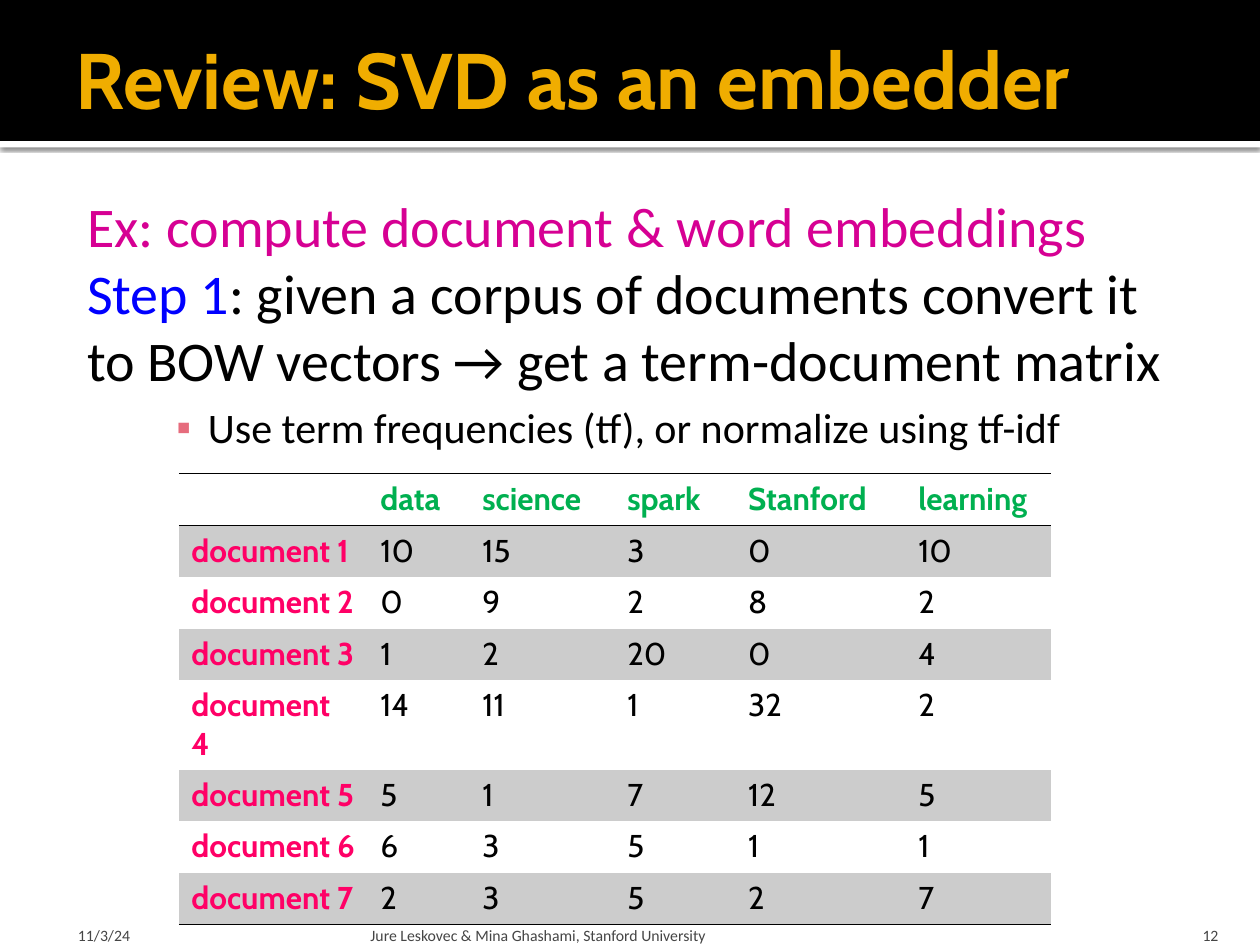
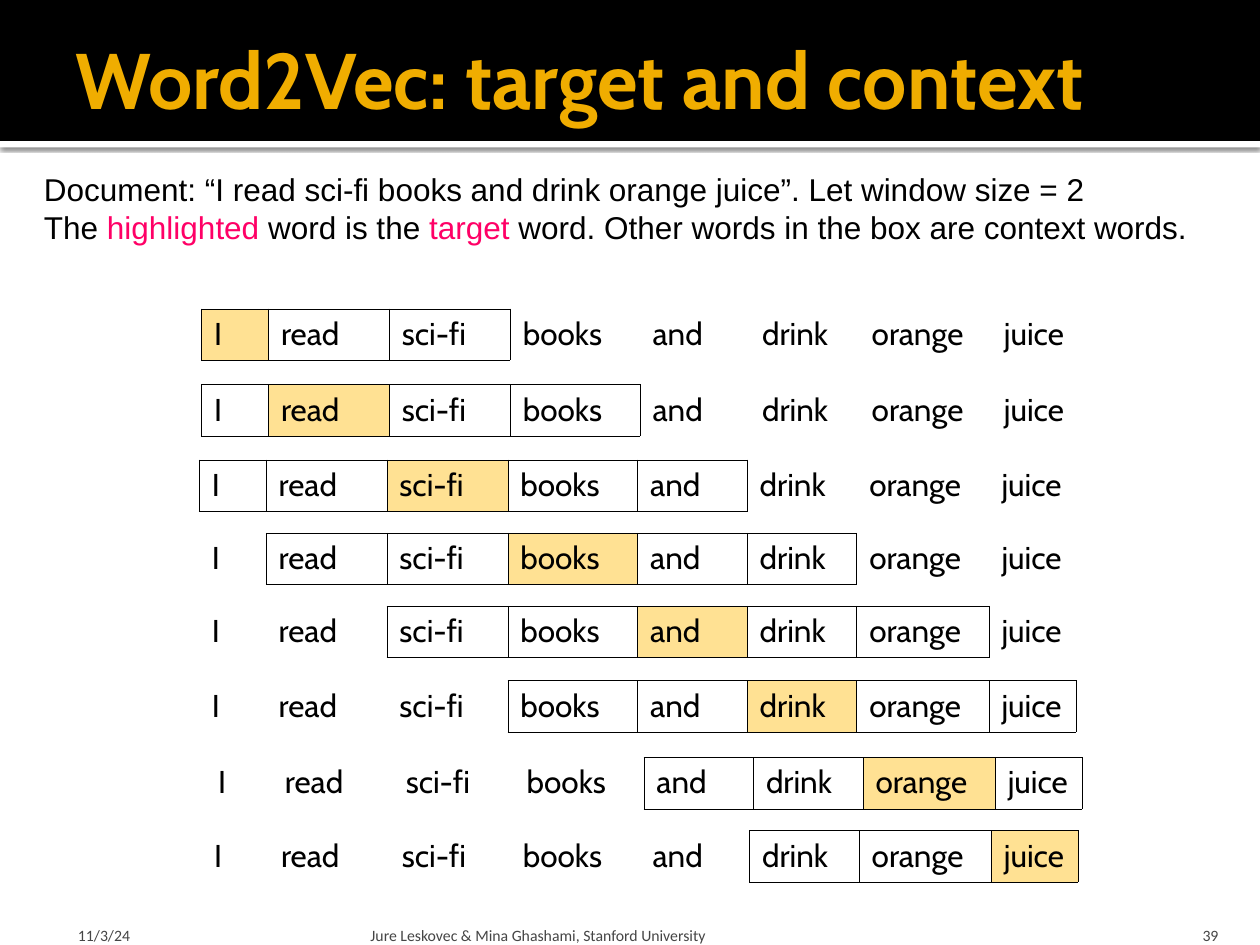
import lxml.etree
import pptx
import pptx.dml.color
import pptx.enum.shapes
import pptx.enum.text
import pptx.oxml.ns
import pptx.util

Pt = pptx.util.Pt
qn = pptx.oxml.ns.qn
ANCHOR = pptx.enum.text.MSO_ANCHOR
ALIGN = pptx.enum.text.PP_ALIGN

COLORS = {
    "black": "000000",
    "white": "FFFFFF",
    "gold": "F0AD00",
    "footer": "454545",
    "magenta": "D60093",
    "blue": "0000FF",
    "bullet": "E66C7D",
    "green": "00B050",
    "pink": "FF0066",
    "stripe": "CCCCCC",
    "target": "FFE193",
}
ROW_HEIGHT = 29.5

TERMS = ["data", "science", "spark", "Stanford", "learning"]
TERM_WIDTHS = [108, 58.3, 82.8, 69.1, 97.2, 82.8]
COUNTS = [
    [10, 15, 3, 0, 10],
    [0, 9, 2, 8, 2],
    [1, 2, 20, 0, 4],
    [14, 11, 1, 32, 2],
    [5, 1, 7, 12, 5],
    [6, 3, 5, 1, 1],
    [2, 3, 5, 2, 7],
]

WORDS = ["I", "read", "sci-fi", "books", "and", "drink", "orange", "juice"]
WORD_WIDTHS = [38.2, 69.1, 69.1, 74.2, 62.6, 62.6, 75.6, 49.7]
WINDOW = 2
WINDOW_PLACES = [
    (115.2, 176.4), (115.2, 219.6), (113.8, 262.8), (113.8, 304.6),
    (113.8, 346.3), (113.8, 388.8), (117.4, 432.7), (115.2, 474.5),
]


def rgb(name):
    return pptx.dml.color.RGBColor.from_string(COLORS[name])


def add_xml(parent, tag, **attrs):
    return lxml.etree.SubElement(parent, qn(tag), attrs)


def emu(points):
    return str(int(Pt(points)))


def write(p, parts, size, font, bold=False):
    for text, color in parts:
        r = p.add_run()
        r.text = text
        r.font.size = Pt(size)
        r.font.name = font
        r.font.bold = bold
        r.font.color.rgb = rgb(color)


def place(s, left, top, width, height):
    s.left, s.top, s.width, s.height = Pt(left), Pt(top), Pt(width), Pt(height)


def set_frame(tf, insets, anchor=ANCHOR.TOP):
    tf.word_wrap = True
    tf.auto_size = pptx.enum.text.MSO_AUTO_SIZE.NONE
    tf.vertical_anchor = anchor
    tf.margin_left, tf.margin_top, tf.margin_right, tf.margin_bottom = map(Pt, insets)


def add_band(slide, top, height, color):
    sp = slide.shapes.add_shape(
        pptx.enum.shapes.MSO_SHAPE.RECTANGLE, 0, Pt(top), Pt(720), Pt(height))
    sp.shadow.inherit = False
    sp.fill.solid()
    sp.fill.fore_color.rgb = rgb(color)
    sp.line.fill.background()
    slide.shapes.element.insert(2, sp.element)
    return sp


def add_header(slide):
    add_band(slide, 0, 80.6, "black")
    strip = add_band(slide, 80.6, 3.6, "white")
    effects = strip.element.spPr.find(qn("a:effectLst"))
    shadow = add_xml(effects, "a:outerShdw", blurRad=emu(2.5), dist=emu(0.8),
                     dir="5400000", algn="t", rotWithShape="0")
    color = add_xml(shadow, "a:srgbClr", val=COLORS["black"])
    add_xml(color, "a:alpha", val="60000")


def add_title(slide, text):
    s = slide.shapes.title
    place(s, 36, 5.8, 648, 77.8)
    set_frame(s.text_frame, (7.2, 3.6, 3.6, 3.6), ANCHOR.MIDDLE)
    p = s.text_frame.paragraphs[0]
    p.alignment = ALIGN.LEFT
    write(p, [(text, "gold")], 45, "Cabin", True)


def add_text_box(slide, box, insets, anchor=ANCHOR.TOP):
    s = slide.shapes.add_textbox(*map(Pt, box))
    set_frame(s.text_frame, insets, anchor)
    return s.text_frame


def add_footer(slide, number):
    items = [
        ("11/3/24", 36, 167.8, 8.6, 3.6, ALIGN.LEFT),
        ("Jure Leskovec & Mina Ghashami, Stanford University",
         208.1, 433.4, 3.6, 3.6, ALIGN.LEFT),
        (str(number), 645.8, 57.6, 7.2, 7.2, ALIGN.RIGHT),
    ]
    for text, left, width, inset_left, inset_right, align in items:
        tf = add_text_box(slide, (left, 518.4, width, 21.6),
                          (inset_left, 3.6, inset_right, 0), ANCHOR.BOTTOM)
        p = tf.paragraphs[0]
        p.alignment = align
        write(p, [(text, "footer")], 9, "Calibri")


def add_list_item(p, parts, size, margin, indent=0, bullet=None, level=0, before=0):
    p.level = level
    pPr = p._p.get_or_add_pPr()
    pPr.set("marL", emu(margin))
    pPr.set("indent", emu(indent))
    if bullet:
        add_xml(add_xml(pPr, "a:buClr"), "a:srgbClr", val=COLORS["bullet"])
        add_xml(pPr, "a:buFont", typeface="Arial")
        add_xml(pPr, "a:buChar", char=bullet)
    else:
        add_xml(pPr, "a:buNone")
    p.space_before = Pt(before)
    write(p, parts, size, "Calibri")


def set_borders(cell, sides, width):
    tcPr = cell._tc.get_or_add_tcPr()
    for side in "LRTB":
        ln = add_xml(tcPr, "a:ln" + side, w=emu(width))
        if side in sides:
            add_xml(add_xml(ln, "a:solidFill"), "a:srgbClr", val=COLORS["black"])
        else:
            add_xml(ln, "a:noFill")


def fill_cell(cell, color):
    cell.fill.solid()
    cell.fill.fore_color.rgb = rgb(color)


def add_plain_table(slide, left, top, widths, rows):
    s = slide.shapes.add_table(rows, len(widths), Pt(left), Pt(top),
                               Pt(sum(widths)), Pt(ROW_HEIGHT * rows))
    table = s.table
    table.first_row = False
    table.horz_banding = False
    for column, width in zip(table.columns, widths):
        column.width = Pt(width)
    for row in table.rows:
        row.height = Pt(ROW_HEIGHT)
    return table


def add_term_matrix(slide):
    rows = [[""] + TERMS]
    rows += [[f"document {i}"] + counts for i, counts in enumerate(COUNTS, 1)]
    table = add_plain_table(slide, 102.2, 270.7, TERM_WIDTHS, len(rows))
    last = len(rows) - 1
    for i, row in enumerate(rows):
        sides = {0: "TB", 1: "T", last: "B"}.get(i, "")
        for j, value in enumerate(row):
            cell = table.cell(i, j)
            set_borders(cell, sides, 1)
            fill_cell(cell, "stripe" if i % 2 else "white")
            color = "green" if i == 0 else "pink" if j == 0 else "black"
            if value != "":
                write(cell.text_frame.paragraphs[0], [(str(value), color)],
                      18, "Cabin", i == 0 or j == 0)


def add_window_row(slide, target, left, top):
    table = add_plain_table(slide, left, top, WORD_WIDTHS, 1)
    window = range(max(0, target - WINDOW), min(len(WORDS), target + WINDOW + 1))
    for j, word in enumerate(WORDS):
        cell = table.cell(0, j)
        sides = "LRTB" if j in window else ""
        if j - 1 in window:
            sides += "L"
        if j + 1 in window:
            sides += "R"
        set_borders(cell, sides, 0.25)
        fill_cell(cell, "target" if j == target else "white")
        write(cell.text_frame.paragraphs[0], [(word, "black")], 18, "Cabin")


def build_svd_slide(slide):
    add_header(slide)
    add_title(slide, "Review: SVD as an embedder")
    body = slide.placeholders[1]
    place(body, 36, 102.2, 648, 414)
    tf = body.text_frame
    set_frame(tf, (4.3, 7.2, 7.2, 3.6))
    add_list_item(tf.paragraphs[0],
                  [("Ex: compute document & word embeddings", "magenta")], 32, 9.4)
    add_list_item(tf.add_paragraph(), [
        ("Step 1", "blue"),
        (": given a corpus of documents convert it to BOW vectors → "
         "get a term-document matrix", "black")], 32, 9.4)
    add_list_item(tf.add_paragraph(),
                  [("Use term frequencies (tf), or normalize using tf-idf", "black")],
                  24, 78.5, -18, "▪", 2, 4.8)
    add_footer(slide, 12)
    add_term_matrix(slide)


def build_word2vec_slide(slide):
    add_header(slide)
    add_title(slide, "Word2Vec: target and context")
    add_footer(slide, 39)
    for target, (left, top) in enumerate(WINDOW_PLACES):
        add_window_row(slide, target, left, top)
    tf = add_text_box(slide, (18, 93.6, 678.2, 51.1), (7.2, 3.6, 7.2, 3.6))
    write(tf.paragraphs[0], [
        ("Document: “I read sci-fi books and drink orange juice”. "
         "Let window size = 2", "black")], 18, "Arial")
    write(tf.add_paragraph(), [
        ("The ", "black"), ("highlighted ", "pink"), ("word is the ", "black"),
        ("target ", "pink"),
        ("word. Other words in the box are context words.", "black")], 18, "Arial")


def main():
    prs = pptx.Presentation()
    prs.slide_width, prs.slide_height = Pt(720), Pt(540)
    build_svd_slide(prs.slides.add_slide(prs.slide_layouts[1]))
    build_word2vec_slide(prs.slides.add_slide(prs.slide_layouts[5]))
    prs.save("out.pptx")


if __name__ == "__main__":
    main()
